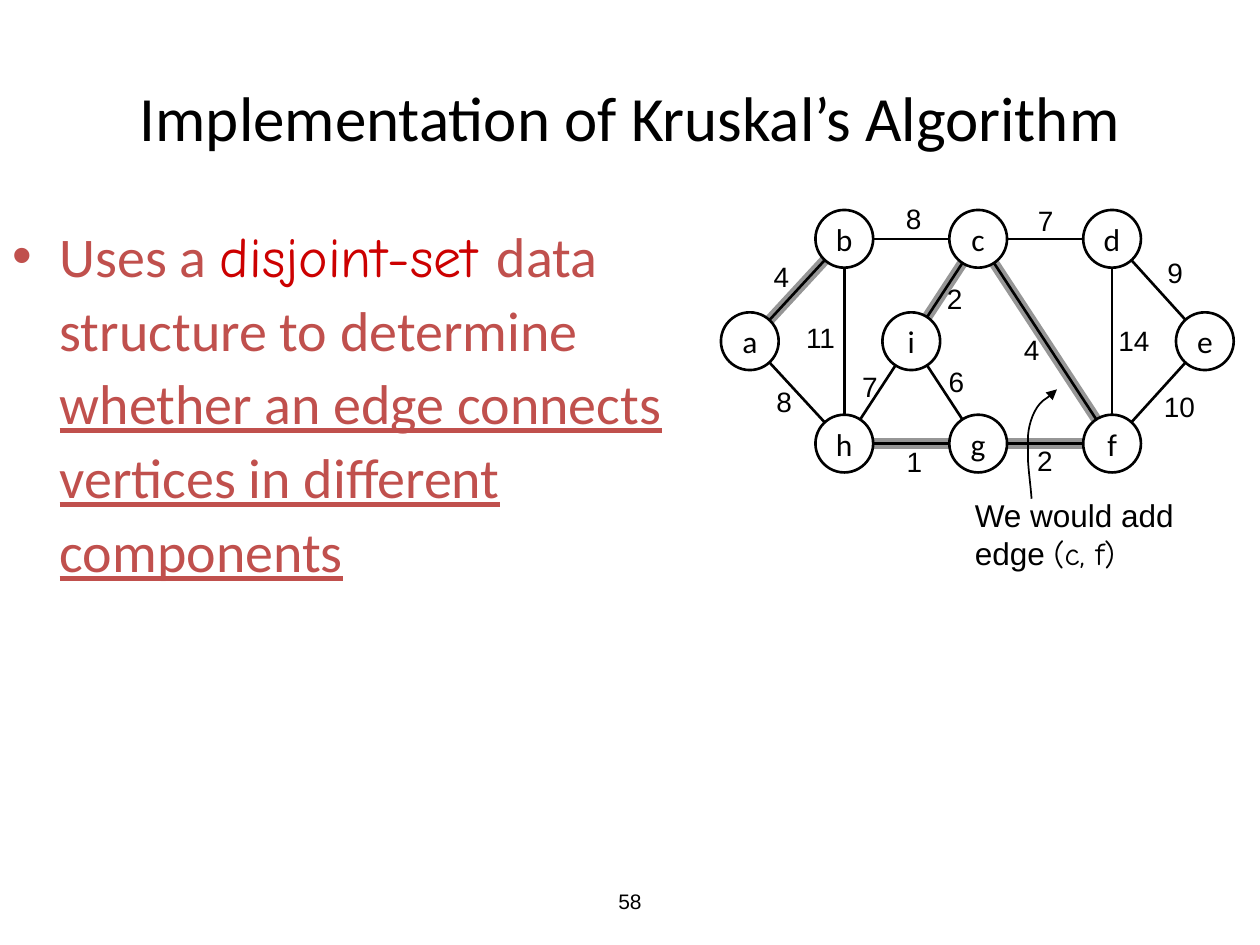
import math

from lxml import etree
from pptx import Presentation
from pptx.dml.color import RGBColor
from pptx.enum import shapes, text
from pptx.oxml import ns
from pptx.util import Pt

BLACK, GREY, BRICK, RED = "000000", "969696", "C0504D", "CC0000"
NODE_SIZE = 33

# Node centres, measured from the graph's corner
TOP, MIDDLE, BOTTOM = 16.5, 75, 133.5
NODES = {
    "a": (16.5, MIDDLE), "b": (70.5, TOP), "c": (147, TOP),
    "d": (223.5, TOP), "e": (276.5, MIDDLE), "h": (70.5, BOTTOM),
    "g": (147, BOTTOM), "f": (223.5, BOTTOM), "i": (108.75, MIDDLE),
}
# Ends, weight, and the corner of the weight's label
EDGES = [
    ("a", "b", 4, 23, 25), ("b", "c", 8, 98.5, -8.5),
    ("c", "d", 7, 174, -7), ("a", "h", 8, 24.5, 96),
    ("b", "h", 11, 41.5, 59.5), ("h", "g", 1, 99, 130.5),
    ("g", "f", 2, 173.5, 130), ("h", "i", 7, 73.5, 87.5),
    ("i", "c", 2, 122, 37.5), ("c", "f", 4, 166, 66.5),
    ("d", "f", 14, 220, 61.5), ("d", "e", 9, 248, 22.5),
    ("e", "f", 10, 246, 99), ("i", "g", 6, 123, 85),
]
CHOSEN = ["ab", "hg", "gf", "ic", "cf"]


def color(value):
    return RGBColor.from_string(value)


def add_run(paragraph, words, size, font, fill=BLACK, underline=None):
    run = paragraph.add_run()
    run.text = words
    run.font.size = Pt(size)
    run.font.name = font
    run.font.color.rgb = color(fill)
    run.font.underline = underline


def add_text_box(slide, left, top, width, height, wrap=True, middle=False):
    shape = slide.shapes.add_textbox(Pt(left), Pt(top), Pt(width), Pt(height))
    frame = shape.text_frame
    frame.word_wrap = wrap
    if middle:
        frame.vertical_anchor = text.MSO_ANCHOR.MIDDLE
        frame.paragraphs[0].alignment = text.PP_ALIGN.CENTER
    return frame


def add_centred_line(slide, box, words, size, font):
    frame = add_text_box(slide, *box, middle=True)
    add_run(frame.paragraphs[0], words, size, font)


def add_body(slide, box):
    paragraph = add_text_box(slide, *box).paragraphs[0]
    paragraph.line_spacing = 1.1
    # Hanging bullet
    properties = paragraph._p.get_or_add_pPr()
    properties.set("marL", str(Pt(27)))
    properties.set("indent", str(-Pt(27)))
    bullet_font = etree.SubElement(properties, ns.qn("a:buFont"))
    bullet_font.set("typeface", "Arial")
    bullet = etree.SubElement(properties, ns.qn("a:buChar"))
    bullet.set("char", "•")
    add_run(paragraph, "Uses a ", 32, "Calibri", BRICK)
    add_run(paragraph, "disjoint-set ", 32, "Comic Neue", RED)
    add_run(paragraph, "data structure to determine ", 32, "Calibri", BRICK)
    add_run(paragraph, "whether an edge connects vertices in different components",
            32, "Calibri", BRICK, True)


def add_edge(slide, left, top, start, end, line_color, width):
    """Draw a line between the rims of two nodes."""
    (x1, y1), (x2, y2) = NODES[start], NODES[end]
    share = NODE_SIZE / 2 / math.hypot(x2 - x1, y2 - y1)
    dx, dy = (x2 - x1) * share, (y2 - y1) * share
    connector = slide.shapes.add_connector(
        shapes.MSO_CONNECTOR.STRAIGHT,
        Pt(left + x1 + dx), Pt(top + y1 + dy),
        Pt(left + x2 - dx), Pt(top + y2 - dy))
    connector.line.color.rgb = color(line_color)
    connector.line.width = Pt(width)
    etree.SubElement(connector._element.spPr, ns.qn("a:effectLst"))


def add_node(slide, name, x, y):
    shape = slide.shapes.add_shape(
        shapes.MSO_SHAPE.OVAL, Pt(x - NODE_SIZE / 2), Pt(y - NODE_SIZE / 2),
        Pt(NODE_SIZE), Pt(NODE_SIZE))
    shape.shadow.inherit = False
    shape.fill.background()
    shape.line.color.rgb = color(BLACK)
    shape.line.width = Pt(1.5)
    frame = shape.text_frame
    frame.word_wrap = False
    frame.vertical_anchor = text.MSO_ANCHOR.MIDDLE
    frame.paragraphs[0].alignment = text.PP_ALIGN.CENTER
    add_run(frame.paragraphs[0], name, 18, "Calibri")


def add_graph(slide, left, top):
    # Chosen edges lie behind everything else
    for start, end in CHOSEN:
        add_edge(slide, left, top, start, end, GREY, 6)
    for name, (x, y) in NODES.items():
        add_node(slide, name, left + x, top + y)
    for start, end, *_ in EDGES:
        add_edge(slide, left, top, start, end, BLACK, 1.5)
    # Weights
    for _, _, weight, x, y in EDGES:
        width = 23 if weight < 10 else 32
        frame = add_text_box(slide, left + x, top + y, width, 26.5, wrap=False)
        add_run(frame.paragraphs[0], str(weight), 16, "Arial")


def add_curved_arrow(slide, points):
    """Draw a chain of Bézier curves: a start, then three points for each."""
    start, *rest = [(Pt(x), Pt(y)) for x, y in points]
    builder = slide.shapes.build_freeform(*start)
    builder.add_line_segments(rest, close=False)
    shape = builder.convert_to_shape()
    outline = shape._element.spPr.find(".//" + ns.qn("a:path"))
    segments = outline.findall(ns.qn("a:lnTo"))
    for first in range(0, len(segments), 3):
        curve = etree.SubElement(outline, ns.qn("a:cubicBezTo"))
        for segment in segments[first:first + 3]:
            curve.append(segment[0])
            outline.remove(segment)
    shape.shadow.inherit = False
    shape.fill.background()
    shape.line.color.rgb = color(BLACK)
    shape.line.width = Pt(1)
    tail = etree.SubElement(shape.line._get_or_add_ln(), ns.qn("a:tailEnd"))
    tail.set("type", "triangle")


def add_note(slide, left, top, width, height):
    frame = add_text_box(slide, left, top, width, height, wrap=False)
    add_run(frame.paragraphs[0], "We would add", 18, "Arial")
    second = frame.add_paragraph()
    add_run(second, "edge ", 18, "Arial")
    add_run(second, "(c, f)", 18, "Comic Neue")
    # Arrow from the note up to the edge
    curve = [(39.5, 5), (39, -2), (38, -9), (37.5, -16),
             (37.5, -21), (37.5, -26), (37.5, -31.5),
             (38, -38), (41, -47), (46, -51),
             (47.5, -52), (48, -52.5), (49.5, -53.5),
             (52, -55.5), (50.5, -54.5), (53, -55.5),
             (53.5, -56), (54, -57.5), (54, -57.5)]
    add_curved_arrow(slide, [(left + x, top + y) for x, y in curve])


def main():
    presentation = Presentation()
    presentation.slide_width, presentation.slide_height = Pt(720), Pt(540)
    slide = presentation.slides.add_slide(presentation.slide_layouts[6])
    add_graph(slide, 412, 120)
    add_note(slide, 550, 280, 128, 50.5)
    add_centred_line(slide, (36, 21.5, 648, 90),
                     "Implementation of Kruskal’s Algorithm", 36, "Calibri")
    add_body(slide, (0, 119, 400, 261))
    add_centred_line(slide, (246, 500.5, 228, 29), "58", 12, "Arial")
    presentation.save("out.pptx")


if __name__ == "__main__":
    main()
